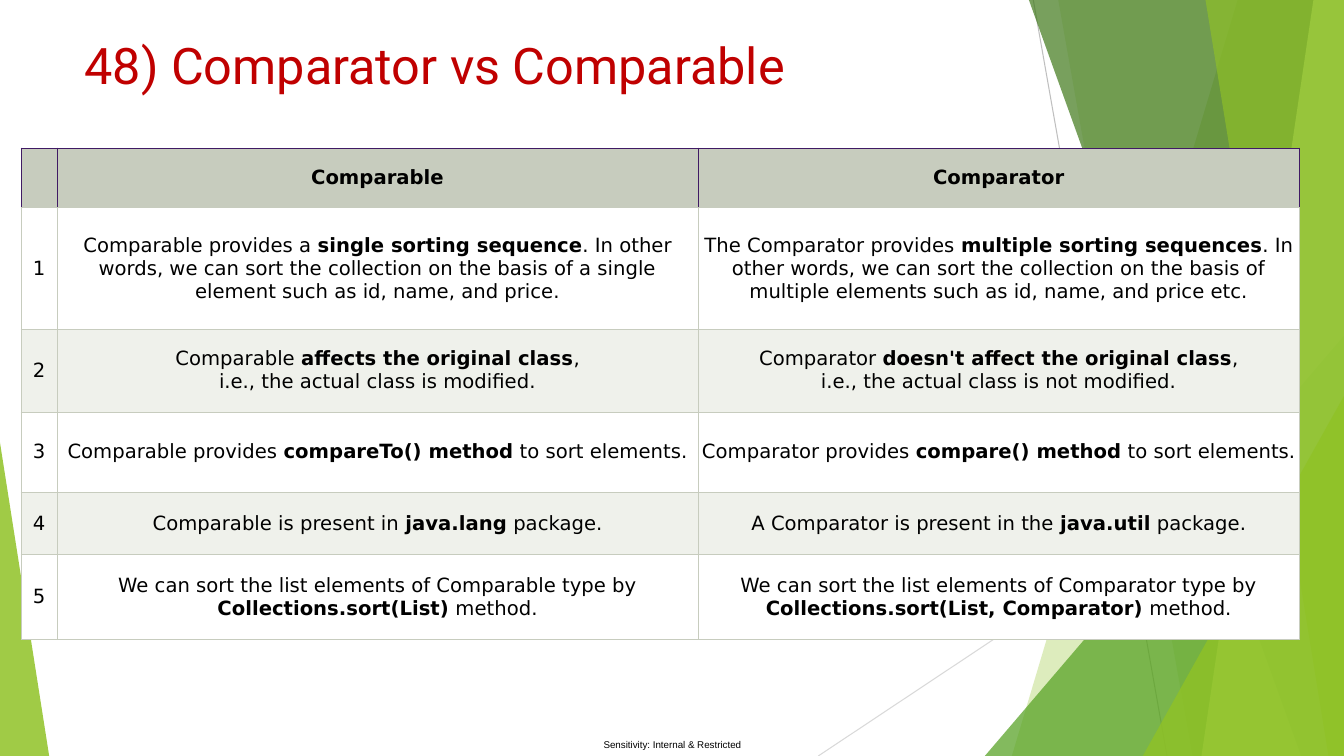
from lxml.etree import SubElement
from pptx import Presentation
from pptx.dml.color import RGBColor
from pptx.enum.shapes import MSO_CONNECTOR, MSO_SHAPE
from pptx.enum.text import MSO_ANCHOR, PP_ALIGN
from pptx.oxml.ns import qn
from pptx.util import Cm, Pt

COLORS = {
    "lime": "90C226", "green": "54A021", "forest": "3F7819", "pale": "C0E474",
    "gray": "BFBFBF", "light gray": "D9D9D9", "red": "C00000", "black": "000000",
    "white": "FFFFFF", "header": "C7CCBE", "band": "EFF1EB", "purple": "401A64",
}
WIDTH, HEIGHT = 33.87, 19.05

TITLE = "48) Comparator vs Comparable"
SENSITIVITY = "Sensitivity: Internal & Restricted"
HEADINGS = ["", "Comparable", "Comparator"]
# Each cell is a list of paragraphs; in a paragraph every second run is bold.
COMPARISON = [
    ([["Comparable provides a ", "single sorting sequence",
       ". In other words, we can sort the collection on the basis of a single "
       "element such as id, name, and price."]],
     [["The Comparator provides ", "multiple sorting sequences",
       ". In other words, we can sort the collection on the basis of multiple "
       "elements such as id, name, and price etc."]]),
    ([["Comparable ", "affects the original class", ","],
      ["i.e., the actual class is modified."]],
     [["Comparator ", "doesn't affect the original class", ","],
      ["i.e., the actual class is not modified."]]),
    ([["Comparable provides ", "compareTo() method", " to sort elements."]],
     [["Comparator provides ", "compare() method", " to sort elements."]]),
    ([["Comparable is present in ", "java.lang", " package."]],
     [["A Comparator is present in the ", "java.util", " package."]]),
    ([["We can sort the list elements of Comparable type by ",
       "Collections.sort(List)", " method."]],
     [["We can sort the list elements of Comparator type by ",
       "Collections.sort(List, Comparator)", " method."]]),
]
COLUMN_WIDTHS = [0.91, 16.15, 15.16]
ROW_HEIGHTS = [1.5, 3.07, 2.08, 2.03, 1.57, 2.13]

RAYS = [((26.04, 0), (29.41, HEIGHT), "gray"),
        ((WIDTH, 10.24), (20.62, HEIGHT), "light gray")]
# Facets, back to front. A band: x at the top, x at the bottom, reaching the right edge.
# A triangle: left, top, width, apex position, reaching the bottom edge.
FACETS = [
    ("band", (31.19, 25.5), "lime", 30),
    ("band", (26.67, 30.05), "lime", 20),
    ("triangle", (24.82, 8.46, 9.05, 1), "green", 72),
    ("band", (25.93, 32.79), "forest", 70),
    ("band", (33.1, 30.28), "pale", 70),
    ("band", (30.38, 33.48), "lime", 65),
    ("triangle", (28.8, 9.98, 5.07, 1), "lime", 80),
    ("triangle", (0, 11.15, 1.24, 0), "lime", 85),
]


def rgb(color):
    return RGBColor.from_string(COLORS[color])


def add_ray(shapes, start, end, color):
    ray = shapes.add_connector(MSO_CONNECTOR.STRAIGHT, *map(Cm, start + end))
    ray.line.color.rgb = rgb(color)
    ray.line.width = Pt(0.75)
    SubElement(ray.element.spPr, qn("a:effectLst"))


def add_facet(shapes, kind, geometry, color, opacity):
    if kind == "band":
        top_x, bottom_x = geometry
        outline = shapes.build_freeform(Cm(top_x), 0)
        outline.add_line_segments([(Cm(WIDTH), 0), (Cm(WIDTH), Cm(HEIGHT)),
                                   (Cm(bottom_x), Cm(HEIGHT))])
        facet = outline.convert_to_shape()
    else:
        left, top, width, apex = geometry
        facet = shapes.add_shape(MSO_SHAPE.ISOSCELES_TRIANGLE, Cm(left), Cm(top),
                                 Cm(width), Cm(HEIGHT - top))
        facet.adjustments[0] = apex
    facet.shadow.inherit = False
    facet.line.fill.background()
    facet.fill.solid()
    facet.fill.fore_color.rgb = rgb(color)
    srgb = facet.element.xpath("./p:spPr/a:solidFill/a:srgbClr")[0]
    SubElement(srgb, qn("a:alpha"), val=str(opacity * 1000))


def add_run(paragraph, text, font, size, color, bold=False):
    run = paragraph.add_run()
    run.text = text
    run.font.name, run.font.size, run.font.bold = font, Pt(size), bold
    run.font.color.rgb = rgb(color)


def add_label(shapes, box, text, font, size, color):
    frame = shapes.add_textbox(*map(Cm, box)).text_frame
    frame.word_wrap = True
    add_run(frame.paragraphs[0], text, font, size, color)
    return frame


def set_borders(cell, side_color):
    """Draw all four edges; the bottom edge always has the header colour."""
    for edge in ("lnL", "lnR", "lnT", "lnB"):
        line = SubElement(cell._tc.get_or_add_tcPr(), qn(f"a:{edge}"), w=str(Pt(0.5)))
        color = "header" if edge == "lnB" else side_color
        SubElement(SubElement(line, qn("a:solidFill")), qn("a:srgbClr"), val=COLORS[color])


def fill_cell(cell, paragraphs, fill, side_color, margin, header):
    set_borders(cell, side_color)
    cell.fill.solid()
    cell.fill.fore_color.rgb = rgb(fill)
    cell.vertical_anchor = MSO_ANCHOR.MIDDLE
    cell.margin_left = cell.margin_right = cell.margin_top = cell.margin_bottom = Cm(margin)
    frame = cell.text_frame
    for index, runs in enumerate(paragraphs):
        paragraph = frame.add_paragraph() if index else frame.paragraphs[0]
        paragraph.alignment = PP_ALIGN.CENTER
        for position, text in enumerate(runs):
            if text:
                add_run(paragraph, text, "DejaVu Sans", 14, "black",
                        header or position % 2 == 1)


def add_comparison(shapes):
    rows = [[[[heading]] for heading in HEADINGS]]
    rows += [[[[str(number)]], *pair] for number, pair in enumerate(COMPARISON, 1)]
    table = shapes.add_table(len(rows), len(HEADINGS), Cm(0.53), Cm(3.73),
                             Cm(sum(COLUMN_WIDTHS)), Cm(sum(ROW_HEIGHTS))).table
    table.first_row = table.horz_banding = False
    for column, width in zip(table.columns, COLUMN_WIDTHS):
        column.width = Cm(width)
    for r, (row, height) in enumerate(zip(rows, ROW_HEIGHTS)):
        table.rows[r].height = Cm(height)
        if r == 0:
            style = ("header", "purple", 0.1, True)
        else:
            style = ("white" if r % 2 else "band", "header", 0.08, False)
        for c, paragraphs in enumerate(row):
            fill_cell(table.cell(r, c), paragraphs, *style)


def main():
    deck = Presentation()
    deck.slide_width, deck.slide_height = Cm(WIDTH), Cm(HEIGHT)
    shapes = deck.slides.add_slide(deck.slide_layouts[6]).shapes
    for ray in RAYS:
        add_ray(shapes, *ray)
    for facet in FACETS:
        add_facet(shapes, *facet)

    footer = add_label(shapes, (14.86, 18.49, 4.17, 0.56), SENSITIVITY, "Arial", 7, "black")
    footer.margin_left = footer.margin_right = footer.margin_top = footer.margin_bottom = 0
    footer.vertical_anchor = MSO_ANCHOR.MIDDLE
    footer.word_wrap = False
    footer.paragraphs[0].alignment = PP_ALIGN.CENTER

    add_label(shapes, (1.88, 0.74, 23.88, 2.29), TITLE, "Roboto", 36, "red")
    add_comparison(shapes)
    deck.save("out.pptx")


if __name__ == "__main__":
    main()
